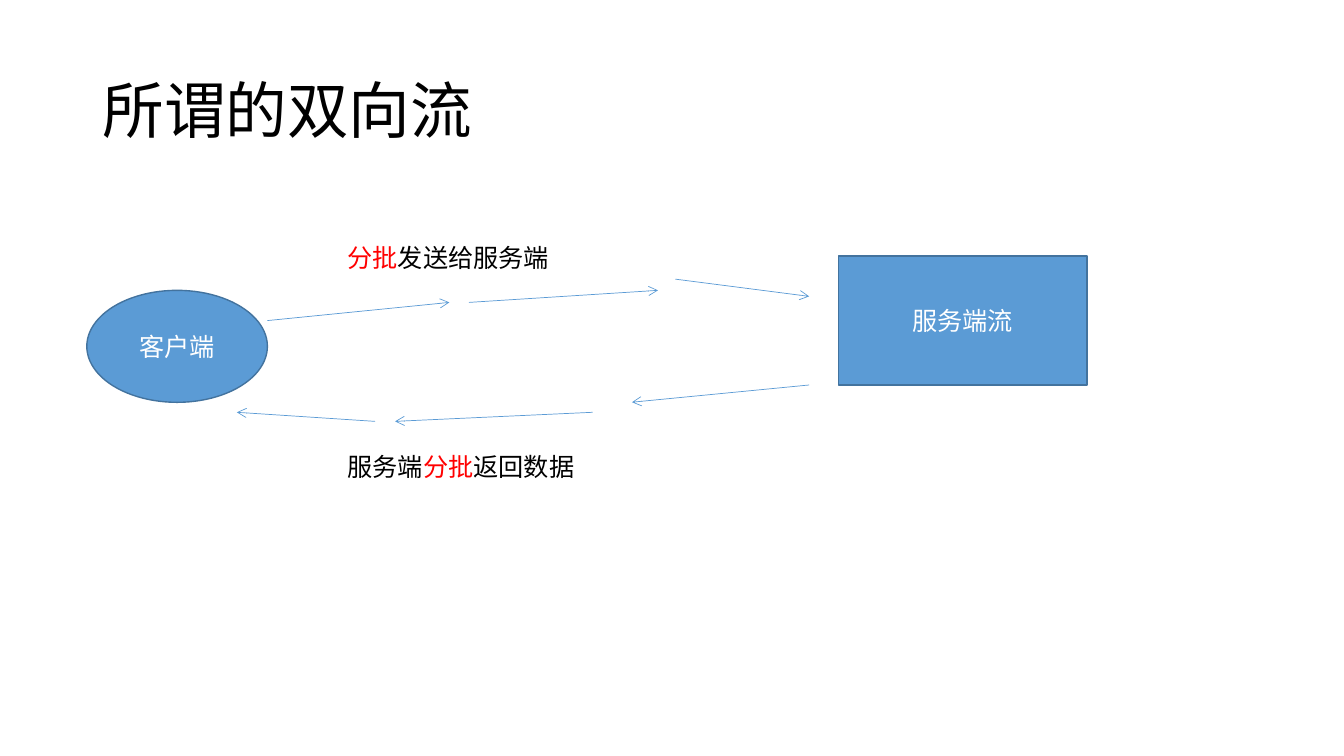
from lxml.etree import SubElement
from pptx import Presentation
from pptx.dml.color import RGBColor
from pptx.enum.shapes import MSO_CONNECTOR, MSO_SHAPE
from pptx.enum.text import MSO_ANCHOR, MSO_AUTO_SIZE, PP_ALIGN
from pptx.oxml.ns import qn
from pptx.util import Pt

BLACK, WHITE, RED = "000000", "FFFFFF", "FF0000"
BLUE, DARK_BLUE = "5B9BD5", "43739E"


def color(hex_code):
    """Turn a hex string into a colour."""
    return RGBColor.from_string(hex_code)


class SlideBuilder:
    """Holds the style and the current slide."""

    font_name = "Calibri"
    body_size = 18
    title_size = 44

    def __init__(self, slide):
        """Keep the slide that receives the elements."""
        self.slide = slide

    def style_run(self, run, size, hex_code):
        """Set the font, size and colour of a run."""
        run.font.name = self.font_name
        run.font.size = Pt(size)
        run.font.color.rgb = color(hex_code)

    def title(self, wording, left, top, width, height):
        """Place and format the title placeholder."""
        heading = self.slide.shapes.title
        heading.left, heading.top = Pt(left), Pt(top)
        heading.width, heading.height = Pt(width), Pt(height)
        frame = heading.text_frame
        frame.text = wording
        frame.vertical_anchor = MSO_ANCHOR.MIDDLE
        paragraph = frame.paragraphs[0]
        paragraph.alignment = PP_ALIGN.LEFT
        paragraph.line_spacing = 0.9
        self.style_run(paragraph.runs[0], self.title_size, BLACK)

    def node(self, preset, wording, left, top, width, height):
        """Add a filled shape with centred white text."""
        node = self.slide.shapes.add_shape(
            preset, Pt(left), Pt(top), Pt(width), Pt(height))
        node.shadow.inherit = False
        node.fill.solid()
        node.fill.fore_color.rgb = color(BLUE)
        node.line.color.rgb = color(DARK_BLUE)
        node.line.width = Pt(1)
        frame = node.text_frame
        frame.text = wording
        frame.vertical_anchor = MSO_ANCHOR.MIDDLE
        frame.paragraphs[0].alignment = PP_ALIGN.CENTER
        self.style_run(frame.paragraphs[0].runs[0], self.body_size, WHITE)

    def caption(self, parts, left, top, width, height):
        """Add a text box from (wording, colour) parts."""
        box = self.slide.shapes.add_textbox(
            Pt(left), Pt(top), Pt(width), Pt(height))
        frame = box.text_frame
        frame.word_wrap = True
        frame.auto_size = MSO_AUTO_SIZE.SHAPE_TO_FIT_TEXT
        for wording, hex_code in parts:
            run = frame.paragraphs[0].add_run()
            run.text = wording
            self.style_run(run, self.body_size, hex_code)

    def arrow(self, start_x, start_y, end_x, end_y):
        """Add a thin line with an open arrowhead at its end."""
        arrow = self.slide.shapes.add_connector(
            MSO_CONNECTOR.STRAIGHT,
            Pt(start_x), Pt(start_y), Pt(end_x), Pt(end_y))
        arrow.line.color.rgb = color(BLUE)
        arrow.line.width = Pt(0.5)
        SubElement(arrow.line._get_or_add_ln(), qn("a:tailEnd"), type="arrow")
        SubElement(arrow._element.spPr, qn("a:effectLst"))


presentation = Presentation()
presentation.slide_width, presentation.slide_height = Pt(960), Pt(540)
title_only = presentation.slide_layouts[5]
builder = SlideBuilder(presentation.slides.add_slide(title_only))

builder.title("所谓的双向流", 66, 29, 828, 104.4)
builder.node(MSO_SHAPE.OVAL, "客户端", 62, 207.4, 129, 80)
builder.node(MSO_SHAPE.RECTANGLE, "服务端流", 599, 183, 177.5, 92)

caption_left = 241.2
builder.caption([("分批", RED), ("发送给服务端", BLACK)],
                caption_left, 169.2, 210, 30)
builder.caption([("服务端", BLACK), ("分批", RED), ("返回数据", BLACK)],
                caption_left, 319, 229, 29)

requests = [(191, 229, 321, 216), (335, 216, 470, 207.4),
            (482.4, 199.4, 578, 211.7)]
responses = [(578, 275, 451.4, 287.3), (423.4, 294.5, 282.2, 301),
             (268, 301, 169.2, 294.5)]
for ends in requests + responses:
    builder.arrow(*ends)

presentation.save("out.pptx")
